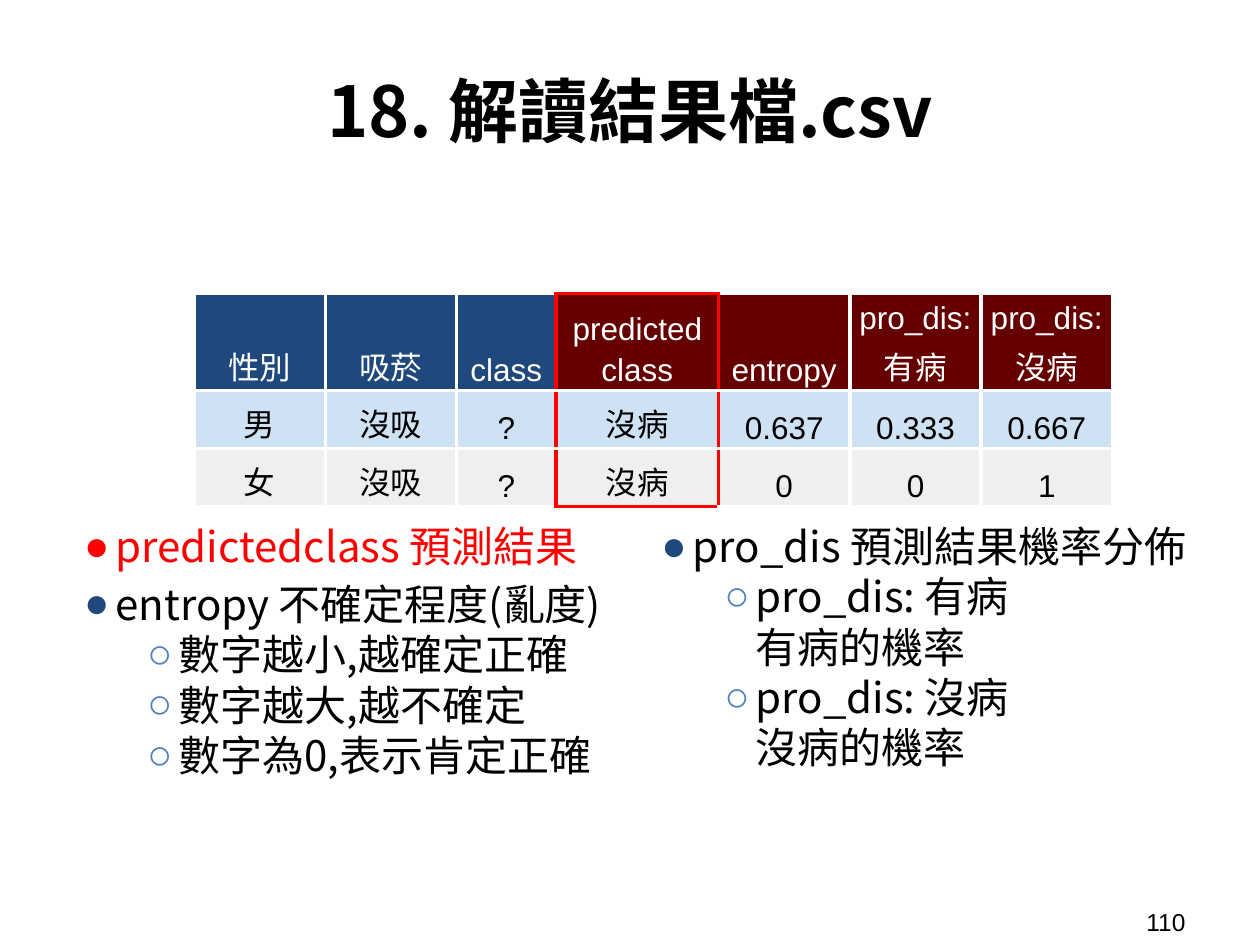
import dataclasses

import pptx
import pptx.dml.color
import pptx.enum.text
import pptx.oxml.ns
import pptx.util
import lxml.etree

ALIGN = pptx.enum.text.PP_ALIGN
ANCHOR = pptx.enum.text.MSO_ANCHOR
COLUMNS, ROWS = 100, 75


@dataclasses.dataclass(frozen=True)
class Theme:
    """Colours, fonts and type sizes of the slide."""
    ink: str = "000000"
    paper: str = "FFFFFF"
    alert: str = "FF0000"
    navy: str = "1F497D"
    blue: str = "4F81BD"
    maroon: str = "660000"
    row_fills: tuple = ("CFE2F3", "EFEFEF")
    cjk: str = "Noto Sans CJK TC"
    latin: str = "Arial"
    title: int = 40
    body: int = 24
    table: int = 18
    number: int = 14
    border: float = 2.25


THEME = Theme()


def grid(count):
    """Return the length of a number of grid units."""
    return pptx.util.Inches(count * 10 / COLUMNS)


def rgb(value):
    """Return a colour from its hex value."""
    return pptx.dml.color.RGBColor.from_string(value)


def add_xml(parent, tag, **attributes):
    """Append a DrawingML element to a parent."""
    return lxml.etree.SubElement(parent, pptx.oxml.ns.qn(tag), attributes)


def style_runs(p, size, color, font, bold=False):
    """Format every run of a paragraph."""
    for r in p.runs:
        r.font.size = pptx.util.Pt(size)
        r.font.name = font
        r.font.bold = bold
        r.font.color.rgb = rgb(color)
        add_xml(r._r.get_or_add_rPr(), "a:ea", typeface=THEME.cjk)


def add_box(s, box, anchor, inset_y=1):
    """Add a wrapping text frame in a box of grid units."""
    tf = s.shapes.add_textbox(*map(grid, box)).text_frame
    tf.word_wrap = True
    tf.vertical_anchor = anchor
    tf.margin_left = tf.margin_right = grid(1)
    tf.margin_top = tf.margin_bottom = grid(inset_y)
    return tf


def add_title(s, box, text):
    """Place the centred slide title."""
    p = add_box(s, box, ANCHOR.MIDDLE).paragraphs[0]
    p.text = text
    p.alignment = ALIGN.CENTER
    style_runs(p, THEME.title, THEME.ink, THEME.cjk, True)


def add_page_number(s, box, text):
    """Place the page number."""
    p = add_box(s, box, ANCHOR.MIDDLE, 0.5).paragraphs[0]
    p.text = text
    style_runs(p, THEME.number, THEME.ink, THEME.latin)


def add_bullets(s, box, items):
    """Place a two-level list of (level, text, colour) items."""
    tf = add_box(s, box, ANCHOR.TOP)
    for index, (level, text, color) in enumerate(items):
        p = tf.add_paragraph() if index else tf.paragraphs[0]
        p.text = text
        p.level = level
        p.line_spacing = 1.0 if level else 1.15
        top_color = THEME.navy if color == THEME.ink else color
        pPr = p._p.get_or_add_pPr()
        pPr.set("marL", str(grid(5 * (level + 1))))
        pPr.set("indent", str(-grid(2.5)))
        add_xml(add_xml(pPr, "a:buClr"), "a:srgbClr", val=THEME.blue if level else top_color)
        add_xml(pPr, "a:buFont", typeface=THEME.latin)
        add_xml(pPr, "a:buChar", char="○" if level else "●")
        style_runs(p, THEME.body, color, THEME.cjk)


def set_borders(cell, colors):
    """Draw the left, right, top and bottom borders of a cell."""
    tcPr = cell._tc.get_or_add_tcPr()
    for index, (side, color) in enumerate(zip("LRTB", colors)):
        line = add_xml(tcPr, "a:ln" + side, w=str(pptx.util.Pt(THEME.border)))
        add_xml(add_xml(line, "a:solidFill"), "a:srgbClr", val=color)
        tcPr.insert(index, line)


def add_result_table(s, corner, widths, heights, records, marked):
    """Place the result table with a red frame around the marked column."""
    box = (*corner, sum(widths), sum(heights))
    table = s.shapes.add_table(len(heights), len(widths), *map(grid, box)).table
    table.first_row = table.horz_banding = False
    for column, width in zip(table.columns, widths):
        column.width = grid(width)
    for row, height in zip(table.rows, heights):
        row.height = grid(height)
    last = len(records) - 1
    for i, record in enumerate(records):
        for j, text in enumerate(record):
            cell = table.cell(i, j)
            header_fill = THEME.navy if j < marked else THEME.maroon
            cell.fill.solid()
            cell.fill.fore_color.rgb = rgb(THEME.row_fills[i - 1] if i else header_fill)
            cell.vertical_anchor = ANCHOR.BOTTOM
            cell.margin_left = cell.margin_right = grid(0.3)
            cell.margin_top = cell.margin_bottom = grid(0.2)
            p = cell.text_frame.paragraphs[0]
            p.text = text
            p.alignment = ALIGN.CENTER
            p.line_spacing = 1.15
            style_runs(p, THEME.table, THEME.ink if i else THEME.paper, THEME.latin)
            framed = (j in (marked, marked + 1), j in (marked - 1, marked),
                      j == marked and i == 0, j == marked and i == last)
            set_borders(cell, [THEME.alert if red else THEME.paper for red in framed])


def build_result_slide(prs):
    """Build the slide that explains the result file."""
    s = prs.slides.add_slide(prs.slide_layouts[6])
    add_title(s, (5.2, 1.9, 89.6, 13.6), "18. 解讀結果檔.csv")
    add_page_number(s, (90, 71.7, 9.2, 2.9), "110")
    widths = (10.42, 10.42, 7.9, 12.9, 10.42, 10.42, 10.42)
    heights = (7.7, 4.6, 4.6)
    records = (
        ("性別", "吸菸", "class", "predicted\vclass", "entropy", "pro_dis: 有病", "pro_dis: 沒病"),
        ("男", "沒吸", "?", "沒病", "0.637", "0.333", "0.667"),
        ("女", "沒吸", "?", "沒病", "0", "0", "1"),
    )
    add_result_table(s, (15.4, 23.3), widths, heights, records, marked=3)
    add_bullets(s, (3.2, 39.7, 46.6, 31.4), (
        (0, "predictedclass 預測結果", THEME.alert),
        (0, "entropy 不確定程度(亂度)", THEME.ink),
        (1, "數字越小,越確定正確", THEME.ink),
        (1, "數字越大,越不確定", THEME.ink),
        (1, "數字為0,表示肯定正確", THEME.ink),
    ))
    add_bullets(s, (49, 39.7, 46.6, 31.4), (
        (0, "pro_dis 預測結果機率分佈", THEME.ink),
        (1, "pro_dis: 有病\v有病的機率", THEME.ink),
        (1, "pro_dis: 沒病\v沒病的機率", THEME.ink),
    ))


def main():
    """Create and save the presentation."""
    prs = pptx.Presentation()
    prs.slide_width, prs.slide_height = grid(COLUMNS), grid(ROWS)
    build_result_slide(prs)
    prs.save("out.pptx")


if __name__ == "__main__":
    main()
